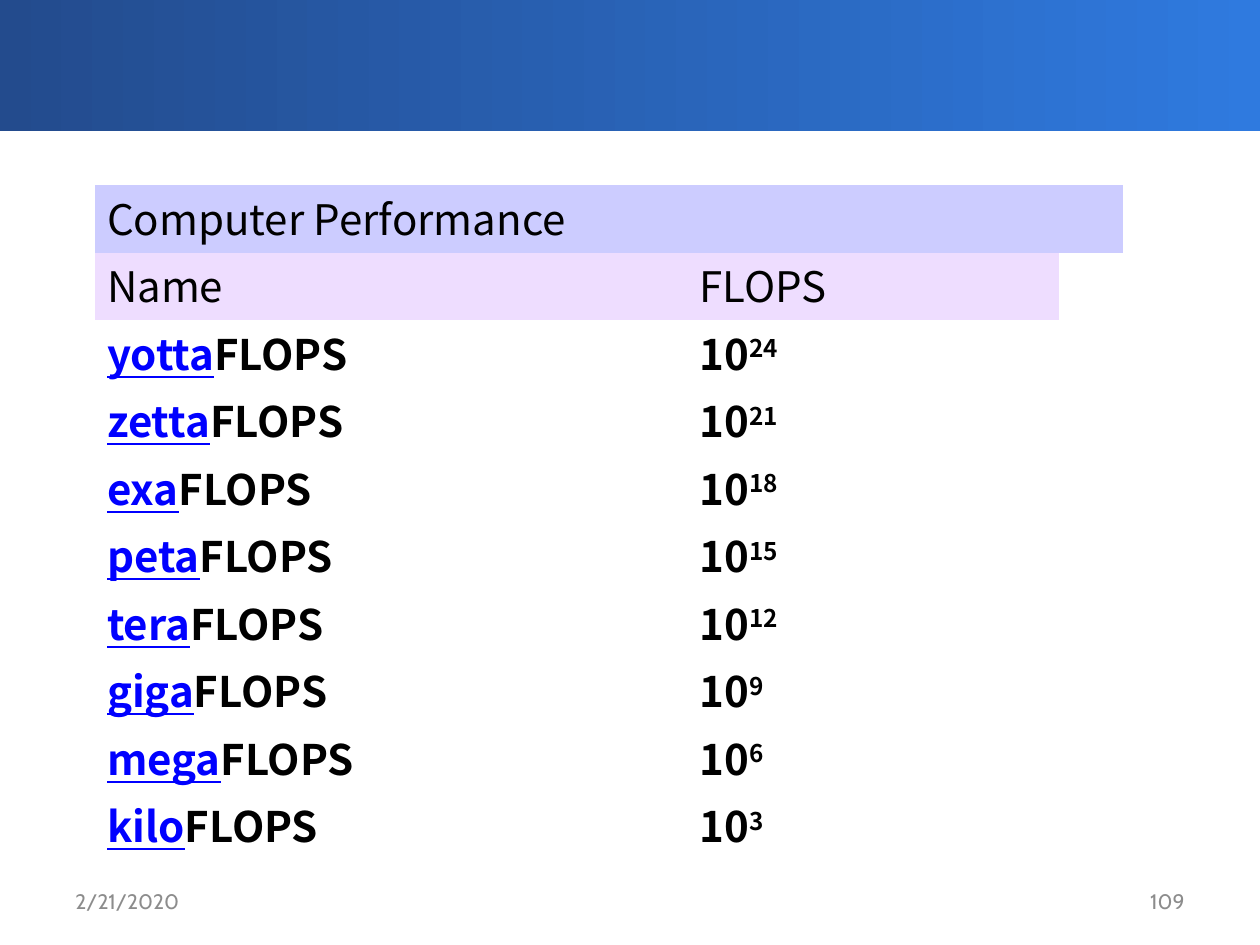
from pptx import Presentation
from pptx.dml.color import RGBColor
from pptx.enum.shapes import MSO_SHAPE
from pptx.enum.text import MSO_ANCHOR, PP_ALIGN
from pptx.oxml.ns import qn
from pptx.util import Pt

RECT = MSO_SHAPE.RECTANGLE
MIDDLE = MSO_ANCHOR.MIDDLE
LEFT, RIGHT = PP_ALIGN.LEFT, PP_ALIGN.RIGHT

NAVY = RGBColor(0x23, 0x4B, 0x8D)
AZURE = RGBColor(0x2F, 0x7A, 0xDF)
LILAC = RGBColor(0xCC, 0xCC, 0xFF)
PINK = RGBColor(0xEE, 0xDD, 0xFF)
BLACK = RGBColor(0, 0, 0)
BLUE = RGBColor(0, 0, 0xFF)
GRAY = RGBColor(0x8C, 0x8C, 0x8C)
PLAIN_STYLE = "{2D5ABB26-0587-4C30-8999-92F81FD0307C}"


def set_font(para, name, size, color, bold=False):
    font = para.font
    font.name, font.size, font.bold = name, Pt(size), bold
    font.color.rgb = color


def fill_cell(cell, texts, bold=False):
    """Write the texts as runs of one hanging paragraph and return the runs."""
    cell.vertical_anchor = MIDDLE
    para = cell.text_frame.paragraphs[0]
    para.line_spacing = 0.9
    props = para._p.get_or_add_pPr()
    props.set("marL", str(Pt(22.5)))
    props.set("indent", str(-Pt(22.5)))
    set_font(para, "Noto Sans CJK SC", 24, BLACK, bold)
    runs = []
    for text in texts:
        run = para.add_run()
        run.text = text
        runs.append(run)
    return runs


prs = Presentation()
prs.slide_width, prs.slide_height = Pt(720), Pt(540)
slide = prs.slides.add_slide(prs.slide_layouts[6])
shapes = slide.shapes

# Header band
band = shapes.add_shape(RECT, Pt(0), Pt(-2), Pt(720), Pt(77))
band.shadow.inherit = False
band.line.fill.background()
band.fill.gradient()
band.fill.gradient_angle = 0
for stop, color, place in zip(band.fill.gradient_stops, (NAVY, AZURE), (0, 1)):
    stop.color.rgb = color
    stop.position = place

# Performance table
powers = [("yotta", 24), ("zetta", 21), ("exa", 18), ("peta", 15),
          ("tera", 12), ("giga", 9), ("mega", 6), ("kilo", 3)]
count = len(powers) + 2
frame = shapes.add_table(count, 3, Pt(54), Pt(105.8), Pt(588), Pt(38.6 * count))
table = frame.table
table.first_row = table.horz_banding = False
table._tbl.tblPr.find(qn("a:tableStyleId")).text = PLAIN_STYLE
for col, width in zip(table.columns, (338.7, 212.4, 36.9)):
    col.width = Pt(width)
for row in table.rows:
    row.height = Pt(38.6)
for cell in table.iter_cells():
    cell.margin_left = cell.margin_right = Pt(7.2)
    cell.margin_top = cell.margin_bottom = Pt(3.6)
    cell.fill.background()

title = table.cell(0, 0)
title.merge(table.cell(0, 2))
heads = [(title, "Computer Performance", LILAC),
         (table.cell(1, 0), "Name", PINK),
         (table.cell(1, 1), "FLOPS", PINK)]
for cell, text, color in heads:
    fill_cell(cell, [text])
    cell.fill.solid()
    cell.fill.fore_color.rgb = color

for row, (prefix, power) in enumerate(powers, 2):
    unit = fill_cell(table.cell(row, 0), [prefix, "FLOPS"], True)[0]
    unit.font.color.rgb = BLUE
    unit.font.underline = True
    raised = fill_cell(table.cell(row, 1), ["10", str(power)], True)[1]
    raised._r.get_or_add_rPr().set("baseline", "30000")

# Footer
for left, text, align in ((36, "2/21/2020", LEFT), (516, "109", RIGHT)):
    box = shapes.add_textbox(Pt(left), Pt(500.5), Pt(168), Pt(28.75))
    box.text_frame.word_wrap = True
    box.text_frame.vertical_anchor = MIDDLE
    para = box.text_frame.paragraphs[0]
    para.text = text
    para.alignment = align
    set_font(para, "Cabin", 12, GRAY)

prs.save("out.pptx")
